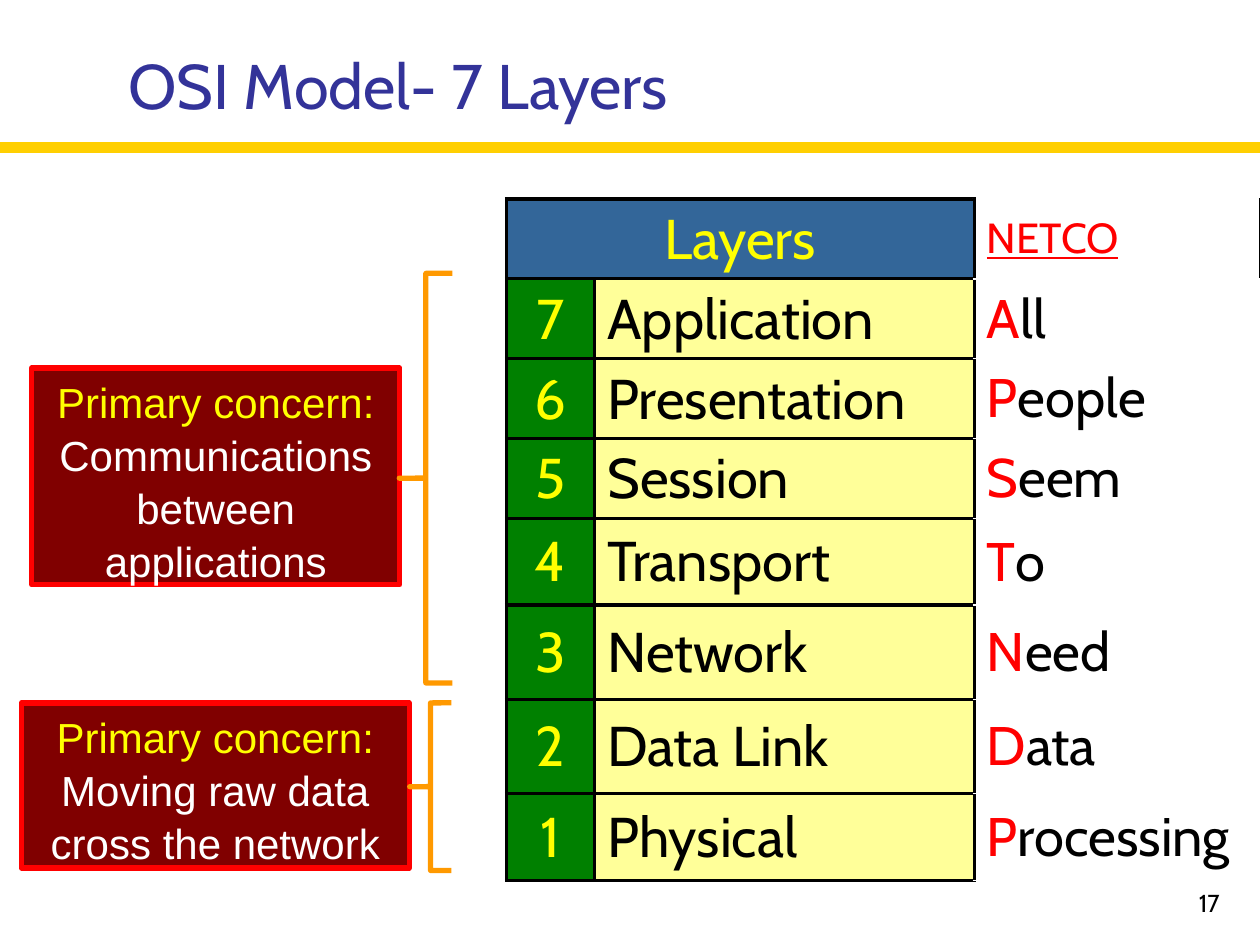
from lxml.etree import SubElement
from pptx import Presentation
from pptx.dml.color import RGBColor
from pptx.enum.shapes import MSO_CONNECTOR as Connector, MSO_SHAPE as Shape
from pptx.enum.text import MSO_ANCHOR as Anchor, PP_ALIGN as Align
from pptx.oxml.ns import qn
from pptx.util import Cm, Pt

HEADING = "OSI Model- 7 Layers"
PAGE_NUMBER = "17"
TABLE_HEADING = "Layers"
MNEMONIC_HEADING = "NETCO"
LAYERS = [
    ("Application", "All"),
    ("Presentation", "People"),
    ("Session", "Seem"),
    ("Transport", "To"),
    ("Network", "Need"),
    ("Data Link", "Data"),
    ("Physical", "Processing"),
]
CONCERN_LABEL = "Primary concern: "
CONCERNS = [
    ("Communications between applications", (0.64, 7.42, 7.42, 4.37), (8.05, 5.51, 1.07, 8.26)),
    ("Moving raw data cross the network", (0.43, 14.17, 7.82, 3.33), (8.26, 14.17, 0.84, 3.38)),
]
TABLE_LEFT, TABLE_TOP = 10.21, 4.01
COLUMN_WIDTHS = [1.78, 7.65, 5.77]
ROW_HEIGHTS = [1.6, 1.6, 1.6, 1.6, 1.75, 1.9, 1.9, 1.75]

BLACK, WHITE, RED, YELLOW = "000000", "FFFFFF", "FF0000", "FFFF00"
NAVY, GOLD, ORANGE, MAROON = "333399", "FFCF01", "FF9900", "800000"
BLUE, GREEN, CREAM = "336699", "008000", "FFFF99"


def color(code):
    return RGBColor.from_string(code)


def write(frame, runs, size, align=Align.LEFT, font="Cabin"):
    para = frame.paragraphs[0]
    para.alignment = align
    for text, code in runs:
        span = para.add_run()
        span.text = text
        span.font.name = font
        span.font.size = Pt(size)
        span.font.color.rgb = color(code)
    return para


def add_text(page, place, anchor, *style):
    frame = page.shapes.add_textbox(*map(Cm, place)).text_frame
    frame.word_wrap = True
    frame.vertical_anchor = anchor
    write(frame, *style)


def add_rule(page):
    rule = page.shapes.add_connector(Connector.STRAIGHT, 0, Cm(2.97), Cm(25.4), Cm(2.97))
    rule.line.color.rgb = color(GOLD)
    rule.line.width = Pt(6)
    SubElement(rule._element.spPr, qn("a:effectLst"))


def add_shape(page, kind, place, line):
    shape = page.shapes.add_shape(kind, *map(Cm, place))
    shape.shadow.inherit = False
    shape.line.color.rgb = color(line)
    shape.line.width = Pt(3)
    return shape


def add_concern(page, text, box_place, brace_place):
    box = add_shape(page, Shape.RECTANGLE, box_place, RED)
    box.fill.solid()
    box.fill.fore_color.rgb = color(MAROON)
    box.text_frame.word_wrap = True
    box.text_frame.vertical_anchor = Anchor.TOP
    runs = [(CONCERN_LABEL, YELLOW), (text, WHITE)]
    write(box.text_frame, runs, 24, Align.CENTER, "Arial").line_spacing = 1.05
    brace = add_shape(page, Shape.LEFT_BRACE, brace_place, ORANGE)
    brace.fill.background()
    brace.adjustments[0] = 0.002


def fill_cell(cell, runs, size, align=Align.LEFT, fill=None, sides="LRTB"):
    cell.vertical_anchor = Anchor.MIDDLE
    properties = cell._tc.get_or_add_tcPr()
    for side in sides:
        border = SubElement(properties, qn(f"a:ln{side}"), w=str(Pt(2.25)))
        SubElement(SubElement(border, qn("a:solidFill")), qn("a:srgbClr"), val=BLACK)
    if fill:
        cell.fill.solid()
        cell.fill.fore_color.rgb = color(fill)
    else:
        cell.fill.background()
    return write(cell.text_frame, runs, size, align)


def add_layers(page):
    table = page.shapes.add_table(
        len(ROW_HEIGHTS), len(COLUMN_WIDTHS), Cm(TABLE_LEFT), Cm(TABLE_TOP),
        Cm(sum(COLUMN_WIDTHS)), Cm(sum(ROW_HEIGHTS))).table
    table.first_row = table.horz_banding = False
    for column, width in zip(table.columns, COLUMN_WIDTHS):
        column.width = Cm(width)
    for row, height in zip(table.rows, ROW_HEIGHTS):
        row.height = Cm(height)

    table.cell(0, 0).merge(table.cell(0, 1))
    fill_cell(table.cell(0, 0), [(TABLE_HEADING, YELLOW)], 32, Align.CENTER, BLUE)
    fill_cell(table.cell(0, 1), [], 32, fill=BLUE)
    para = fill_cell(table.cell(0, 2), [(MNEMONIC_HEADING, RED)], 24, sides="LR")
    para.runs[0].font.underline = True

    for row, (layer, word) in enumerate(LAYERS, 1):
        number = str(len(LAYERS) + 1 - row)
        fill_cell(table.cell(row, 0), [(number, YELLOW)], 32, Align.CENTER, GREEN)
        fill_cell(table.cell(row, 1), [(layer, BLACK)], 32, fill=CREAM)
        fill_cell(table.cell(row, 2), [(word[0], RED), (word[1:], BLACK)], 31, sides="L")


def main():
    deck = Presentation()
    deck.slide_width, deck.slide_height = Cm(25.4), Cm(19.05)
    page = deck.slides.add_slide(deck.slide_layouts[6])
    add_rule(page)
    add_text(page, (19.56, 17.35, 5.28, 1.27), Anchor.BOTTOM,
             [(PAGE_NUMBER, BLACK)], 14, Align.RIGHT)
    add_text(page, (2.34, 0.64, 21.64, 2.11), Anchor.MIDDLE, [(HEADING, NAVY)], 36)
    add_layers(page)
    for concern in CONCERNS:
        add_concern(page, *concern)
    deck.save("out.pptx")


if __name__ == "__main__":
    main()
